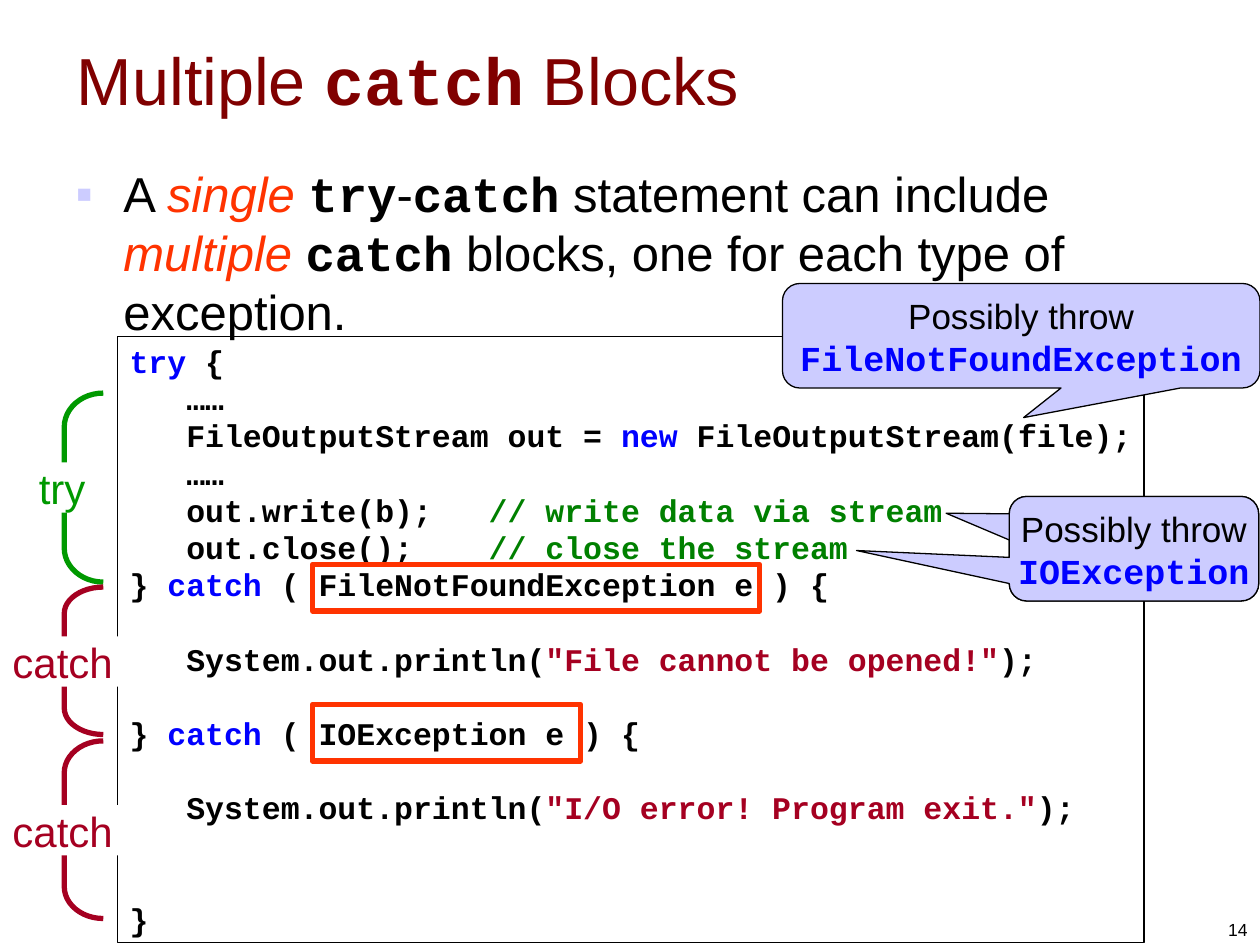
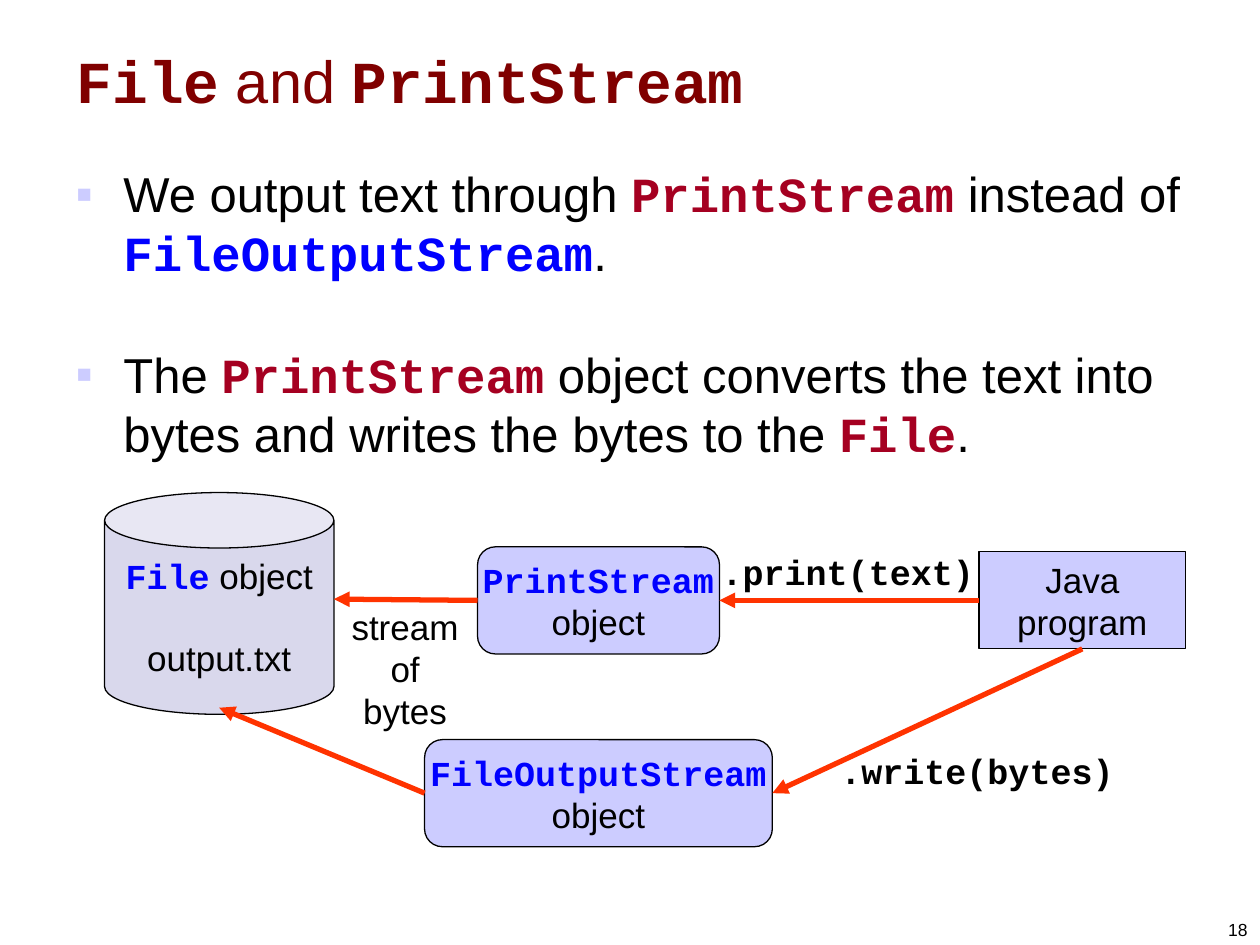
"""Build two lecture slides on exceptions and streams."""
from dataclasses import dataclass
from lxml import etree
from pptx import Presentation, util as u
from pptx.dml.color import RGBColor
from pptx.enum import shapes, text
from pptx.oxml.ns import qn

SANS, MONO = "Arial", "Courier New"
KIND, SIDE = shapes.MSO_SHAPE, text.PP_ALIGN
TOP, MID, LOW = text.MSO_ANCHOR.TOP, text.MSO_ANCHOR.MIDDLE, text.MSO_ANCHOR.BOTTOM


@dataclass(frozen=True)
class Theme:
    """Colours, type sizes and line widths shared by the slides."""
    black: str = "000000"
    white: str = "FFFFFF"
    title: str = "800000"
    pale: str = "CCCCFF"
    can: str = "D9D8EC"
    blue: str = "0000FF"
    wine: str = "A50021"
    green: str = "008000"
    leaf: str = "009900"
    red: str = "FF3300"
    body: int = 28
    label: int = 24
    note: int = 20
    code: int = 18
    page: int = 10
    pitch: float = 21.25
    thin: float = 0.75
    thick: float = 3


T = Theme()
STYLE = {
    "text": (SANS, T.black), "mono": (MONO, T.black), "key": (MONO, T.blue),
    "str": (MONO, T.wine), "rem": (MONO, T.green), "hot": (SANS, T.red),
    "head": (SANS, T.title), "type": (MONO, T.title),
    "try": (SANS, T.leaf), "catch": (SANS, T.wine),
}

CATCH = {
    "page": "14", "size": 38,
    "title": [("head", "Multiple "), ("type", "catch"), ("head", " Blocks")],
    "list": [[("text", "A "), ("hot", "single "), ("mono", "try"), ("text", "-"),
              ("mono", "catch"), ("text", " statement can include "),
              ("hot", "multiple "), ("mono", "catch"),
              ("text", " blocks, one for each type of exception.")]],
}
STREAM = {
    "page": "18", "size": 34,
    "title": [("type", "File"), ("head", " and "), ("type", "PrintStream")],
    "list": [[("text", "We output text through "), ("str", "PrintStream"),
              ("text", " instead of "), ("key", "FileOutputStream"), ("text", ".")],
             [("text", "The "), ("str", "PrintStream"),
              ("text", " object converts the text into bytes and writes the bytes to the "),
              ("str", "File"), ("text", ".")]],
}

# Each code line is (blank lines above, runs).
CODE = [
    (0, [("key", "try"), ("mono", " {")]),
    (0, [("mono", "   ……")]),
    (0, [("mono", "   FileOutputStream out = "), ("key", "new"),
         ("mono", " FileOutputStream(file);")]),
    (0, [("mono", "   ……")]),
    (0, [("mono", "   out.write(b);   "), ("rem", "// write data via stream")]),
    (0, [("mono", "   out.close();    "), ("rem", "// close the stream")]),
    (0, [("mono", "} "), ("key", "catch"), ("mono", " ( FileNotFoundException e ) {")]),
    (1, [("mono", "   System.out.println("), ("str", '"File cannot be opened!"'),
         ("mono", ");")]),
    (1, [("mono", "} "), ("key", "catch"), ("mono", " ( IOException e ) {")]),
    (1, [("mono", "   System.out.println("), ("str", '"I/O error! Program exit."'),
         ("mono", ");")]),
    (2, [("mono", "}")]),
]
CALLS = [
    ((6.21, 2.25, 3.79, 0.83), (0.005, 0.783, 0.167), "FileNotFoundException"),
    ((8.01, 3.94, 1.98, 0.83), (-0.753, -0.339, 0.167), None),
    ((8.01, 3.94, 1.98, 0.83), (-1.112, 0.018, 0.167), "IOException"),
]
SPANS = [("try", 3.12, 1.5, (0.21, 3.67, 0.57, 0.4)),
         ("catch", 4.66, 1.17, (0, 5.05, 0.99, 0.4)),
         ("catch", 5.88, 1.41, (0, 6.39, 0.99, 0.4))]
FRAMES = [(2.48, 5.59, 2.13, 0.45), (2.48, 4.48, 3.55, 0.37)]

NODES = {
    "file": (KIND.CAN, (0.83, 3.91, 1.82, 1.76), T.can, TOP,
             [[("key", "File"), ("text", " object")], [("text", "output.txt")]]),
    "java": (KIND.RECTANGLE, (7.77, 4.38, 1.64, 0.77), T.pale, MID,
             [[("text", "Java")], [("text", "program")]]),
    "print": (KIND.ROUNDED_RECTANGLE, (3.79, 4.34, 1.92, 0.85), T.pale, MID,
              [[("key", "PrintStream")], [("text", "object")]]),
    "out": (KIND.ROUNDED_RECTANGLE, (3.37, 5.87, 2.76, 0.85), T.pale, MID,
            [[("key", "FileOutputStream")], [("text", "object")]]),
}
NOTES = [((2.69, 4.76, 1.05, 1.1), "text", ["stream", "of", "bytes"]),
         ((5.63, 4.32, 2.2, 0.44), "mono", [".print(text)"]),
         ((6.57, 5.9, 2.37, 0.44), "mono", [".write(bytes)"])]
# Arrow ends are a node and the shares of its width and height.
ARROWS = [(("print", 0, 0.5), ("file", 1, 0.48)),
          (("java", 0, 0.5), ("print", 1, 0.5)),
          (("java", 0.5, 1), ("out", 1, 0.5)),
          (("out", 0, 0.5), ("file", 0.5, 0.97))]


def place(box):
    return [u.Inches(v) for v in box]


def tint(color):
    return RGBColor.from_string(color)


def write(shape, paras, size, align=SIDE.LEFT, anchor=TOP, pad=(0.1, 0.05), wrap=False):
    frame = shape.text_frame
    frame.auto_size = text.MSO_AUTO_SIZE.NONE
    frame.word_wrap, frame.vertical_anchor = wrap, anchor
    frame.margin_left = frame.margin_right = u.Inches(pad[0])
    frame.margin_top = frame.margin_bottom = u.Inches(pad[1])
    for n, runs in enumerate(paras):
        para = frame.add_paragraph() if n else frame.paragraphs[0]
        para.alignment, para.space_before = align, u.Pt(0)
        para.font.size = u.Pt(size)
        for style, words in runs:
            run = para.add_run()
            run.text = words
            face, color = STYLE[style]
            run.font.name, run.font.color.rgb = face, tint(color)
            run.font.bold, run.font.italic = face == MONO, style == "hot"
    return frame.paragraphs


def draw(slide, kind, box, fill=None, line=None, width=T.thin, adj=()):
    shape = slide.shapes.add_shape(kind, *place(box))
    shape.shadow.inherit = False
    for n, value in enumerate(adj):
        shape.adjustments[n] = value
    for part, color in ((shape.fill, fill), (shape.line.fill, line)):
        if color:
            part.solid()
            part.fore_color.rgb = tint(color)
        else:
            part.background()
    if line:
        shape.line.width = u.Pt(width)
    return shape


def label(slide, box, paras, size, **opts):
    return write(slide.shapes.add_textbox(*place(box)), paras, size, **opts)


def bullet(para):
    props = para._p.get_or_add_pPr()
    props.set("marL", str(u.Inches(0.38)))
    props.set("indent", str(-u.Inches(0.38)))
    color = etree.Element(qn("a:buClr"))
    etree.SubElement(color, qn("a:srgbClr"), val=T.pale)
    mark = etree.Element(qn("a:buChar"), char="▪")
    spot = props.find(qn("a:defRPr"))
    for item in (color, mark):
        spot.addprevious(item)


def start(deck, data):
    slide = deck.slides.add_slide(deck.slide_layouts[1])
    head, body = slide.placeholders
    head.left, head.top, head.width, head.height = place((0.51, 0.18, 9, 0.9))
    body.left, body.top, body.width, body.height = place((0.5, 1.25, 9, 5.45))
    write(head, [data["title"]], data["size"], anchor=MID, wrap=True)
    for n, para in enumerate(write(body, data["list"], T.body, wrap=True)):
        para.space_before = u.Pt(36 if n else 0)
        bullet(para)
    return slide


def end(slide, data):
    label(slide, (7.67, 7.01, 2.33, 0.5), [[("text", data["page"])]], T.page,
          align=SIDE.RIGHT, anchor=LOW, wrap=True)


def arrow(slide, tail, tip):
    ends = []
    for name, across, down in (tail, tip):
        x, y, w, h = NODES[name][1]
        ends += [x + w * across, y + h * down]
    link = slide.shapes.add_connector(shapes.MSO_CONNECTOR.STRAIGHT, *place(ends))
    link.line.color.rgb, link.line.width = tint(T.red), u.Pt(T.thick)
    etree.SubElement(link.line._get_or_add_ln(), qn("a:tailEnd"), type="triangle")
    etree.SubElement(link._element.spPr, qn("a:effectLst"))


def catches(deck):
    slide = start(deck, CATCH)
    code = draw(slide, KIND.RECTANGLE, (0.93, 2.67, 8.15, 4.81), line=T.black)
    lines = write(code, [runs for _, runs in CODE], T.code)
    for para, (gap, _) in zip(lines, CODE):
        para.line_spacing, para.space_before = u.Pt(T.pitch), u.Pt(gap * T.pitch)
    for box, adj, name in CALLS:
        call = draw(slide, KIND.ROUNDED_RECTANGULAR_CALLOUT, box, T.pale, T.black, adj=adj)
        if name:
            write(call, [[("text", "Possibly throw")], [("key", name)]], T.note,
                  align=SIDE.CENTER, pad=(0, 0.05))
    for name, top, tall, box in SPANS:
        wide = 0.31
        draw(slide, KIND.LEFT_BRACKET, (0.51, top, wide, tall), line=STYLE[name][1],
             width=T.thick, adj=[0.18 * tall / wide])
        tag = draw(slide, KIND.RECTANGLE, box, T.white)
        write(tag, [[(name, name)]], T.label, pad=(0.1, 0))
    for box in FRAMES:
        draw(slide, KIND.RECTANGLE, box, line=T.red, width=T.thick)
    end(slide, CATCH)


def streams(deck):
    slide = start(deck, STREAM)
    for name, (kind, box, fill, anchor, paras) in NODES.items():
        node = draw(slide, kind, box, fill, T.black)
        lines = write(node, paras, T.note, SIDE.CENTER, anchor, (0, 0.05))
        if name == "file":
            lines[1].space_before = u.Pt(23)
    for box, style, words in NOTES:
        label(slide, box, [[(style, word)] for word in words], T.note, align=SIDE.CENTER)
    for tail, tip in ARROWS:
        arrow(slide, tail, tip)
    end(slide, STREAM)


def main():
    deck = Presentation()
    deck.slide_width, deck.slide_height = place((10, 7.5))
    catches(deck)
    streams(deck)
    deck.save("out.pptx")


if __name__ == "__main__":
    main()
